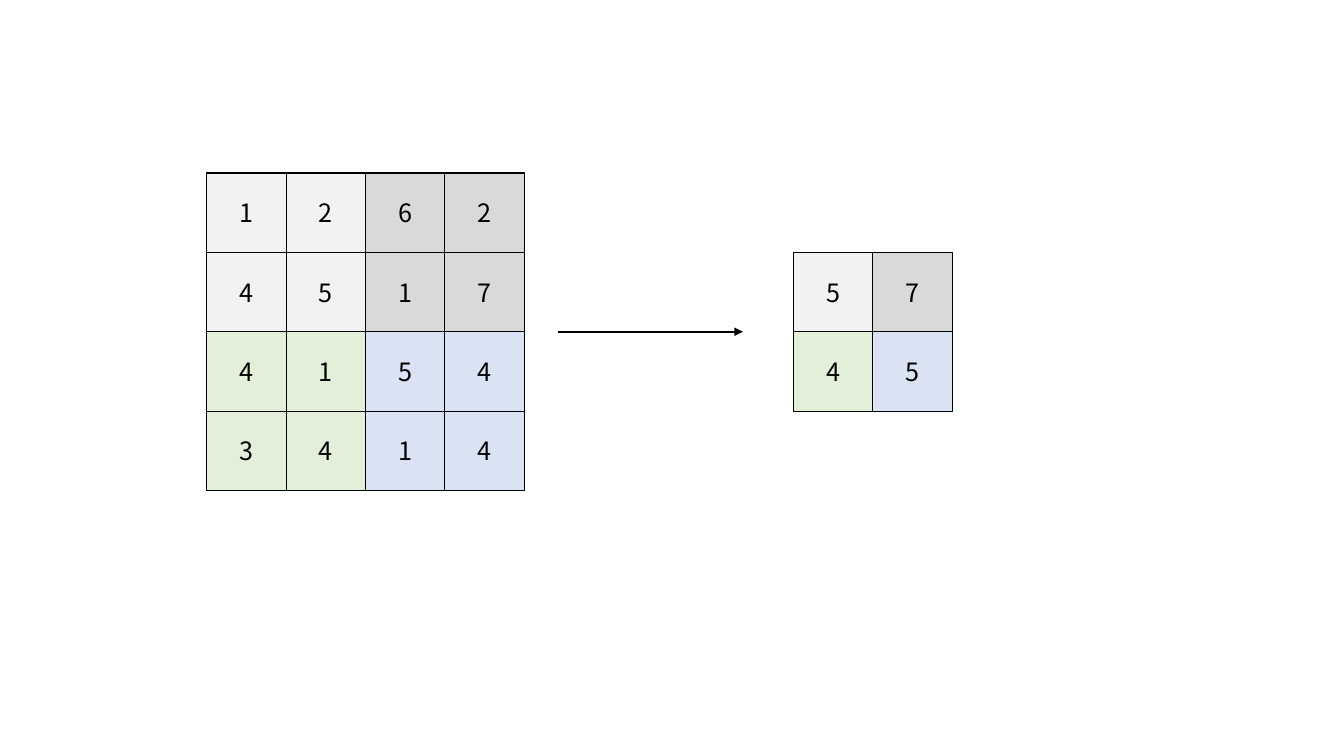
from lxml import etree
from pptx import Presentation
from pptx.dml.color import RGBColor
from pptx.enum.shapes import MSO_CONNECTOR, MSO_SHAPE
from pptx.enum.text import MSO_ANCHOR, PP_ALIGN
from pptx.oxml.ns import qn
from pptx.util import Cm, Pt

RECTANGLE = MSO_SHAPE.RECTANGLE
STRAIGHT = MSO_CONNECTOR.STRAIGHT
MIDDLE = MSO_ANCHOR.MIDDLE
CENTER = PP_ALIGN.CENTER

BLACK = RGBColor(0x00, 0x00, 0x00)
LIGHT_GRAY = RGBColor(0xF2, 0xF2, 0xF2)
MID_GRAY = RGBColor(0xD9, 0xD9, 0xD9)
GREEN = RGBColor(0xE2, 0xF0, 0xD9)
BLUE = RGBColor(0xDA, 0xE3, 0xF3)

CELL = 2  # cell side in cm
POOL = 2  # pooling window side in cells
WINDOW_COLORS = [[LIGHT_GRAY, MID_GRAY], [GREEN, BLUE]]
INPUT = [[1, 2, 6, 2], [4, 5, 1, 7], [4, 1, 5, 4], [3, 4, 1, 4]]


class PoolingSlide:
    """Holds the style and the current slide."""

    font_format = {"name": "Noto Sans CJK SC", "size": Pt(18)}
    frame_format = {"vertical_anchor": MIDDLE, "word_wrap": True}

    def __init__(self, deck):
        self.page = deck.slides.add_slide(deck.slide_layouts[6])

    def apply(self, target, values):
        for name, value in values.items():
            setattr(target, name, value)

    def cell(self, left, top, number, color):
        box = self.page.shapes.add_shape(
            RECTANGLE, Cm(left), Cm(top), Cm(CELL), Cm(CELL))
        box.shadow.inherit = False
        box.fill.solid()
        box.fill.fore_color.rgb = color
        box.line.color.rgb = BLACK
        box.line.width = Pt(0.75)
        self.apply(box.text_frame, self.frame_format)
        para = box.text_frame.paragraphs[0]
        para.alignment = CENTER
        span = para.add_run()
        span.text = str(number)
        self.apply(span.font, self.font_format)
        span.font.color.rgb = BLACK

    def matrix(self, left, top, numbers, window):
        """Draws a grid whose colour changes every `window` cells."""
        for row, values in enumerate(numbers):
            for column, number in enumerate(values):
                color = WINDOW_COLORS[row // window][column // window]
                self.cell(left + column * CELL, top + row * CELL, number, color)

    def arrow(self, start, end, height):
        line = self.page.shapes.add_connector(
            STRAIGHT, Cm(start), Cm(height), Cm(end), Cm(height))
        line.line.color.rgb = BLACK
        line.line.width = Pt(1.5)
        outline = line.line._get_or_add_ln()
        etree.SubElement(outline, qn("a:tailEnd"), type="triangle")
        etree.SubElement(line._element.spPr, qn("a:effectLst"))


def max_pool(numbers):
    steps = range(0, len(numbers), POOL)
    return [[max(max(row[left:left + POOL]) for row in numbers[top:top + POOL])
             for left in steps] for top in steps]


def main():
    deck = Presentation()
    deck.slide_width, deck.slide_height = Cm(33.87), Cm(19.05)
    slide = PoolingSlide(deck)

    # Input matrix
    slide.matrix(5.21, 4.36, INPUT, POOL)

    # Pooled result, centred on the input's height
    slide.matrix(20, 4.36 + CELL, max_pool(INPUT), 1)

    # Arrow from input to result
    slide.arrow(14.05, 18.72, 4.36 + 2 * CELL)

    deck.save("out.pptx")


if __name__ == "__main__":
    main()
